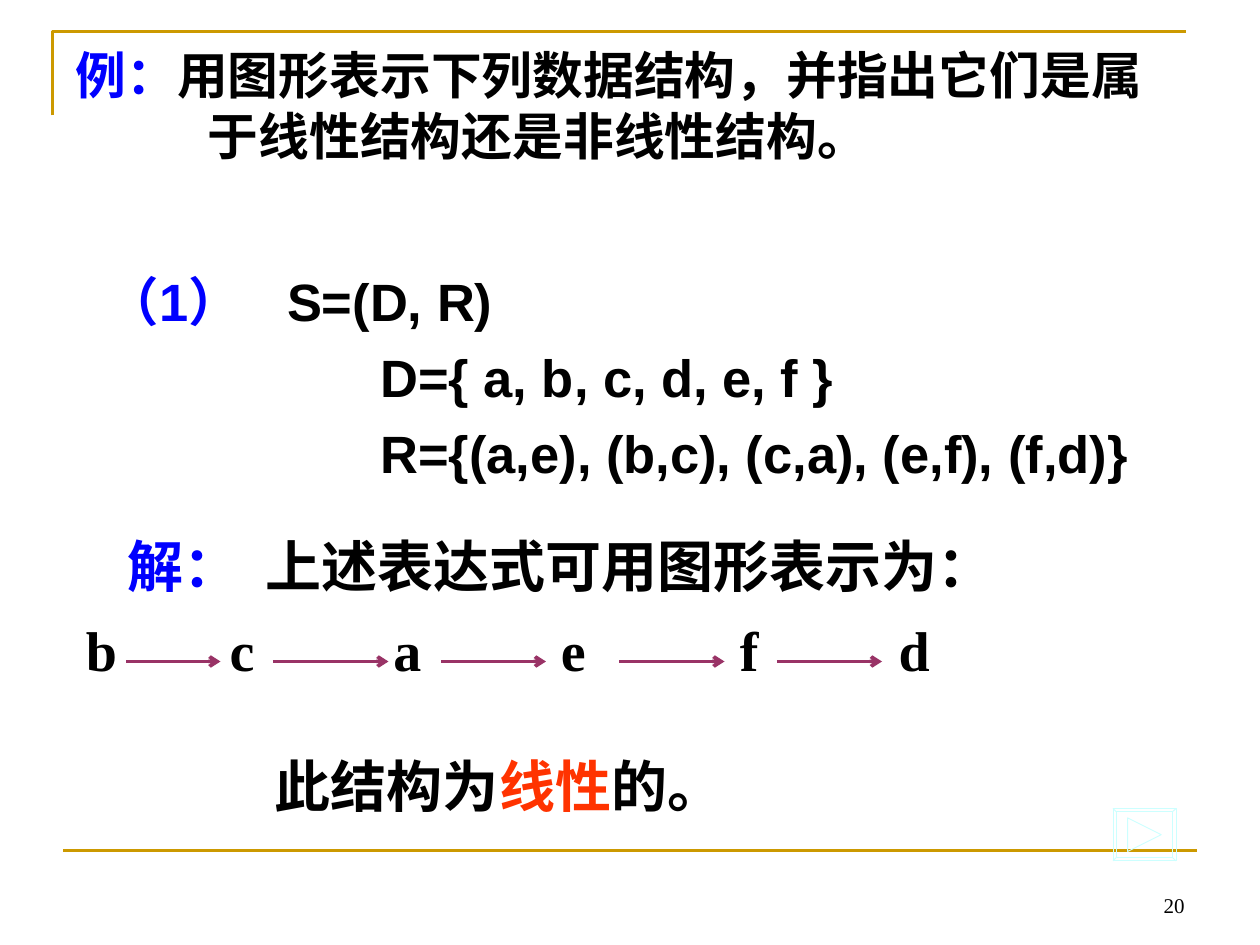
from lxml import etree
from pptx import Presentation
from pptx import util as u
from pptx.dml.color import RGBColor
from pptx.enum import shapes, text
from pptx.oxml.ns import qn

prs = Presentation()
prs.slide_width, prs.slide_height = u.Inches(10), u.Inches(7.5)
W, H = prs.slide_width, prs.slide_height
COL, ROW = W / 120, H / 90
BLUE, BLACK, RED, GOLD, PLUM, PALE = "0000FF", "000000", "FF3300", "CC9900", "993366", "CCFFFF"


def paint(fmt, colour):
    fmt.solid()
    fmt.fore_color.rgb = RGBColor.from_string(colour)


def write(sp, paras, size, font="Times New Roman", bold=True, gap=0, tabs=(), wrap=True):
    tf = sp.text_frame
    tf.word_wrap = wrap
    tf.auto_size = text.MSO_AUTO_SIZE.NONE
    tf.vertical_anchor = text.MSO_ANCHOR.TOP
    for i, runs in enumerate(paras):
        p = tf.add_paragraph() if i else tf.paragraphs[0]
        p.alignment = text.PP_ALIGN.LEFT
        if i:
            p.space_before = u.Pt(gap)
        if tabs:
            lst = etree.SubElement(p._p.get_or_add_pPr(), qn("a:tabLst"))
            for pos in tabs:
                etree.SubElement(lst, qn("a:tab"), pos=str(u.Inches(pos)), algn="l")
        for words, colour in runs:
            r = p.add_run()
            r.text = words
            r.font.size, r.font.name, r.font.bold = u.Pt(size), font, bold
            paint(r.font.fill, colour)
    return tf


s = prs.slides.add_slide(prs.slide_layouts[5])

fb = s.shapes.build_freeform(5 * COL, 11 * ROW)
fb.add_line_segments([(5 * COL, 3 * ROW), (113 * COL, 3 * ROW)], close=False)
frame = fb.convert_to_shape()
frame.shadow.inherit = False
frame.fill.background()
paint(frame.line.fill, GOLD)
frame.line.width = u.Pt(1.5)

title = s.shapes.title
title.left, title.top, title.width, title.height = [int(v) for v in (6 * COL, 3.6 * ROW, 108 * COL, 15 * ROW)]
tf = write(title, [[("例：", BLUE), ("用图形表示下列数据结构，并指出它们是属于线性结构还是非线性结构。", BLACK)]], 29)
pPr = tf.paragraphs[0]._p.get_or_add_pPr()
pPr.set("marL", str(u.Inches(1.05)))
pPr.set("indent", str(-u.Inches(1.05)))

boxes = [
    (9, 25, 102, 24, [[("（1）\t", BLUE), ("S=(D, R)", BLACK)],
                      [("D={ a, b, c, d, e, f }", BLACK)],
                      [("R={(a,e), (b,c), (c,a), (e,f), (f,d)}", BLACK)]],
     dict(size=30, font="Arial", gap=7.5, tabs=[1.43])),
    (11, 50, 91, 7.7, [[("解：\t", BLUE), ("上述表达式可用图形表示为：", BLACK)]], dict(size=32, tabs=[1.09])),
    (7, 58, 102, 7.7, [[("b\tc\ta\te\tf\td", BLACK)]], dict(size=32, tabs=[1.14, 2.44, 3.77, 5.19, 6.45])),
    (25, 71, 45, 7.7, [[("此结构为", BLACK), ("线性", RED), ("的。", BLACK)]], dict(size=32, wrap=False)),
    (86, 82, 28, 6, [[("20", BLACK)]], dict(size=12, bold=False)),
]
for x, y, w, h, paras, style in boxes:
    sp = s.shapes.add_textbox(int(x * COL), int(y * ROW), int(w * COL), int(h * ROW))
    tf = write(sp, paras, **style)
    if "tabs" in style:
        for p in tf.paragraphs[1:]:
            p._p.get_or_add_pPr().set("marL", str(u.Inches(2.17)))
tf.vertical_anchor = text.MSO_ANCHOR.BOTTOM
tf.paragraphs[0].alignment = text.PP_ALIGN.RIGHT

lines = [(6, 114, 81, GOLD, 1.5)]
lines += [(a, b, 63, PLUM, 2) for a, b in [(12, 21), (26, 37), (42, 52), (59, 69), (74, 84)]]
for a, b, y, colour, width in lines:
    cx = s.shapes.add_connector(shapes.MSO_CONNECTOR.STRAIGHT, int(a * COL), int(y * ROW), int(b * COL), int(y * ROW))
    paint(cx.line.fill, colour)
    cx.line.width = u.Pt(width)
    if colour == PLUM:
        etree.SubElement(cx.line._get_or_add_ln(), qn("a:tailEnd"), type="arrow")
    etree.SubElement(cx._element.spPr, qn("a:effectLst"))

outer = [(106 * COL, 77 * ROW), (112 * COL, 77 * ROW), (112 * COL, 82 * ROW), (106 * COL, 82 * ROW)]
inner = [(106.3 * COL, 77.3 * ROW), (111.7 * COL, 77.3 * ROW), (111.7 * COL, 81.7 * ROW), (106.3 * COL, 81.7 * ROW)]
arrow = [(107.4 * COL, 77.9 * ROW), (110.6 * COL, 79.5 * ROW), (107.4 * COL, 81.1 * ROW)]
fb = s.shapes.build_freeform(*outer[0])
fb.add_line_segments(outer[1:])
for pts in (inner, arrow):
    fb.move_to(*pts[0])
    fb.add_line_segments(pts[1:])
for corner, inset in zip(outer, inner):
    fb.move_to(*corner)
    fb.add_line_segments([inset], close=False)
button = fb.convert_to_shape()
button.shadow.inherit = False
button.fill.background()
paint(button.line.fill, PALE)
button.line.width = u.Pt(0.5)

prs.save("out.pptx")
